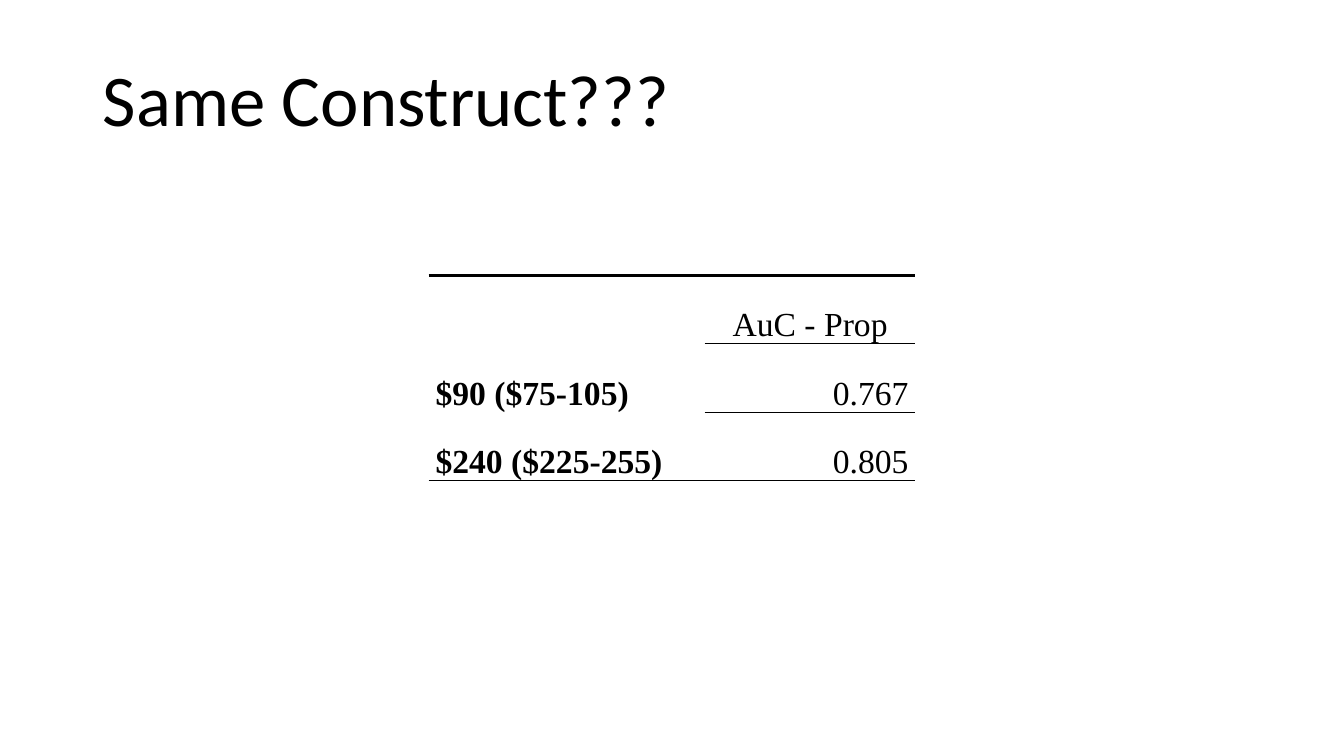
from lxml import etree
from pptx import Presentation
from pptx.dml.color import RGBColor
from pptx.enum import text
from pptx.oxml import ns
from pptx.util import Inches, Pt

TITLE = "Same Construct???"
ROWS = [
    ("", "AuC - Prop"),
    ("$90 ($75-105)", "0.767"),
    ("$240 ($225-255)", "0.805"),
]
COLUMN_WIDTHS = (2.74, 2.09)
ROW_HEIGHT = 0.68
TABLE_LEFT, TABLE_TOP = 4.25, 2.73
BLACK = "000000"
THIN, THICK = 1, 2.25
RULES = {
    (0, 0): {"lnT": THICK},
    (0, 1): {"lnT": THICK, "lnB": THIN},
    (1, 1): {"lnT": THIN},
    (2, 0): {"lnB": THIN},
    (2, 1): {"lnB": THIN},
}
PLAIN_STYLE = "{2D5ABB26-0587-4C30-8999-92F81FD0307C}"


def color(value):
    return RGBColor.from_string(value)


def write(frame, words, font="Times New Roman", size=24, bold=False,
          align=text.PP_ALIGN.LEFT, spacing=1.0, fill=BLACK):
    para = frame.paragraphs[0]
    para.alignment = align
    para.line_spacing = spacing
    para.font.size = Pt(size)
    if words:
        span = para.add_run()
        span.text = words
        span.font.name = font
        span.font.size = Pt(size)
        span.font.bold = bold
        span.font.color.rgb = color(fill)


def add_rules(cell, rules):
    properties = cell._tc.get_or_add_tcPr()
    for side, width in rules.items():
        line = etree.SubElement(properties, ns.qn(f"a:{side}"), w=str(Pt(width)))
        solid = etree.SubElement(line, ns.qn("a:solidFill"))
        etree.SubElement(solid, ns.qn("a:srgbClr"), val=BLACK)


def alignment(row, column):
    if column == 0:
        return text.PP_ALIGN.LEFT
    return text.PP_ALIGN.CENTER if row == 0 else text.PP_ALIGN.RIGHT


deck = Presentation()
deck.slide_width, deck.slide_height = Inches(13.33), Inches(7.5)
page = deck.slides.add_slide(deck.slide_layouts[5])

title = page.shapes.title
title.left, title.top = Inches(0.92), Inches(0.2)
title.width, title.height = Inches(11.5), Inches(1.65)
title.text_frame.vertical_anchor = text.MSO_ANCHOR.MIDDLE
write(title.text_frame, TITLE, font="Calibri", size=52, spacing=0.9)

holder = page.shapes.add_table(
    len(ROWS), len(COLUMN_WIDTHS), Inches(TABLE_LEFT), Inches(TABLE_TOP),
    Inches(sum(COLUMN_WIDTHS)), Inches(ROW_HEIGHT * len(ROWS)))
table = holder.table
table.first_row = table.horz_banding = False
table._tbl.tblPr.find(ns.qn("a:tableStyleId")).text = PLAIN_STYLE

for column, width in zip(table.columns, COLUMN_WIDTHS):
    column.width = Inches(width)
for row_index, values in enumerate(ROWS):
    table.rows[row_index].height = Inches(ROW_HEIGHT)
    for column_index, words in enumerate(values):
        cell = table.cell(row_index, column_index)
        cell.margin_left = cell.margin_right = Inches(0.07)
        cell.margin_top = cell.margin_bottom = 0
        cell.vertical_anchor = text.MSO_ANCHOR.BOTTOM
        add_rules(cell, RULES.get((row_index, column_index), {}))
        cell.fill.background()
        write(cell.text_frame, words, bold=column_index == 0,
              align=alignment(row_index, column_index))

deck.save("out.pptx")
